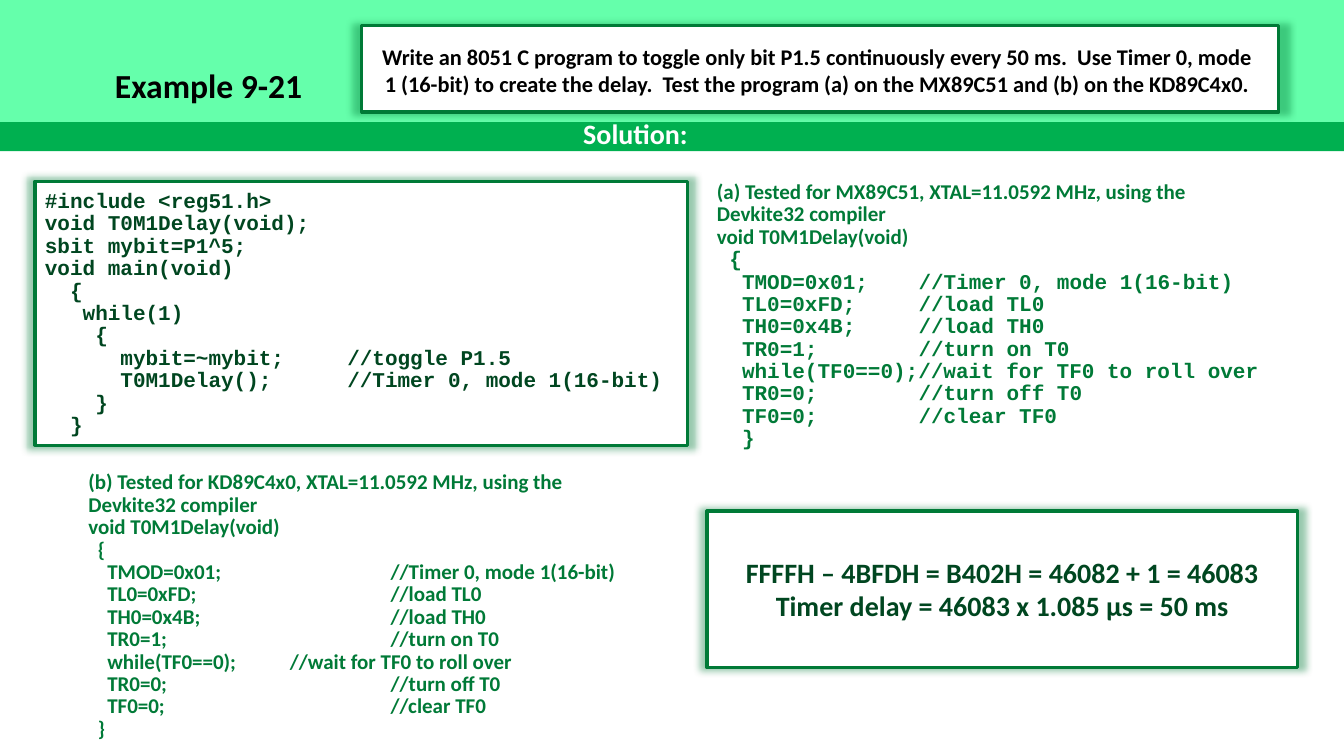
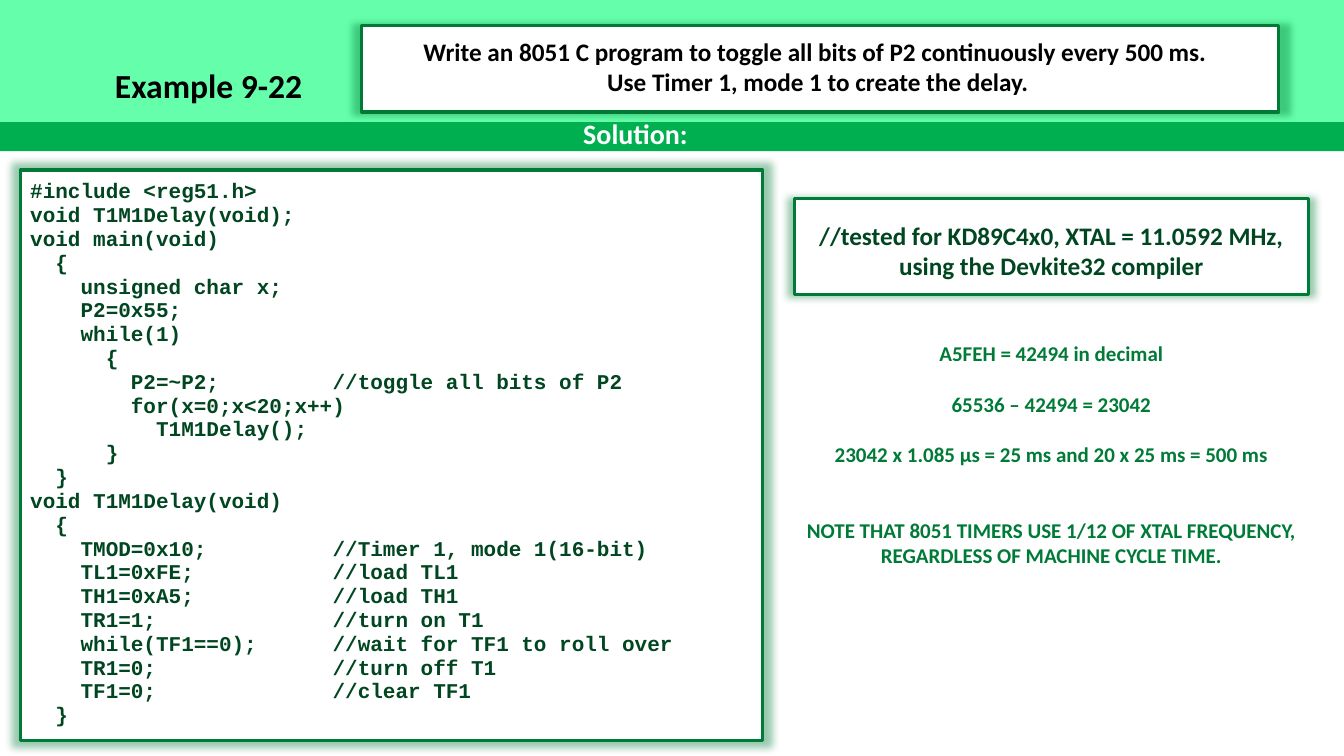
from dataclasses import dataclass
from lxml.etree import SubElement
from pptx import Presentation
from pptx.dml.color import RGBColor
from pptx.enum.shapes import MSO_SHAPE
from pptx.enum.text import MSO_AUTO_SIZE, PP_ALIGN
from pptx.oxml import parse_xml
from pptx.oxml.ns import qn
from pptx.util import Pt


@dataclass(frozen=True)
class Theme:
    sans: str = "Calibri"
    mono: str = "Courier New"
    black: str = "000000"
    white: str = "FFFFFF"
    mint: str = "65FFAB"
    band: str = "00B050"
    green: str = "007A37"
    dark: str = "004620"
    title: int = 24
    large: int = 20
    mid: int = 18
    ask: int = 16
    body: int = 15
    edge: float = 2.25


THEME = Theme()
WIDE, HIGH = 960, 540
HEAD = (258.5, 18, 655, 62)
TABS = (72, 144, 216)
SHADOW = (
    '<a:effectLst xmlns:a="http://schemas.openxmlformats.org/drawingml/2006/main">'
    '<a:outerShdw blurRad="63500" sx="102000" sy="102000" algn="ctr" rotWithShape="0">'
    f'<a:srgbClr val="{THEME.green}"><a:alpha val="40000"/></a:srgbClr>'
    "</a:outerShdw></a:effectLst>"
)

MAIN = """#include <reg51.h>
void T0M1Delay(void);
sbit mybit=P1^5;
void main(void)
  {
   while(1)
    {
      mybit=~mybit;\t//toggle P1.5
      T0M1Delay();\t//Timer 0, mode 1(16-bit)
    }
  }"""

INTRO = """(a) Tested for MX89C51, XTAL=11.0592 MHz, using the Devkite32 compiler
void T0M1Delay(void)"""

PART_A = """ {
  TMOD=0x01;\t//Timer 0, mode 1(16-bit)
  TL0=0xFD;\t//load TL0
  TH0=0x4B;\t//load TH0
  TR0=1;\t//turn on T0
  while(TF0==0);//wait for TF0 to roll over
  TR0=0;\t//turn off T0
  TF0=0;\t//clear TF0
  }"""

PART_B = """(b) Tested for KD89C4x0, XTAL=11.0592 MHz, using the Devkite32 compiler
void T0M1Delay(void)
  {
    TMOD=0x01;\t\t//Timer 0, mode 1(16-bit)
    TL0=0xFD;\t\t//load TL0
    TH0=0x4B;\t\t//load TH0
    TR0=1;\t\t\t//turn on T0
    while(TF0==0);\t//wait for TF0 to roll over
    TR0=0;\t\t\t//turn off T0
    TF0=0;\t\t\t//clear TF0
  }"""

SUMS = """FFFFH – 4BFDH = B402H = 46082 + 1 = 46083
Timer delay = 46083 x 1.085 µs = 50 ms"""

TOGGLE = """#include <reg51.h>
void T1M1Delay(void);
void main(void)
  {
    unsigned char x;
    P2=0x55;
    while(1)
      {
        P2=~P2;\t\t//toggle all bits of P2
        for(x=0;x<20;x++)
          T1M1Delay();
      }
  }
void T1M1Delay(void)
  {
    TMOD=0x10;\t\t//Timer 1, mode 1(16-bit)
    TL1=0xFE;\t\t//load TL1
    TH1=0xA5;\t\t//load TH1
    TR1=1;\t\t//turn on T1
    while(TF1==0);\t//wait for TF1 to roll over
    TR1=0;\t\t//turn off T1
    TF1=0;\t\t//clear TF1
  }"""

NOTES = """A5FEH = 42494 in decimal
65536 – 42494 = 23042
23042 x 1.085 µs = 25 ms and 20 x 25 ms = 500 ms
NOTE THAT 8051 TIMERS USE 1/12 OF XTAL FREQUENCY, REGARDLESS OF MACHINE CYCLE TIME."""

CODE = dict(face=THEME.mono, color=THEME.dark)
LIST = dict(color=THEME.green, lead=16)
MID = dict(center=True)

SLIDES = [
    dict(
        title="Example 9-21",
        ask="Write an 8051 C program to toggle only bit P1.5 continuously every 50 ms.  "
            "Use Timer 0, mode 1 (16-bit) to create the delay.  "
            "Test the program (a) on the MX89C51 and (b) on the KD89C4x0.",
        spot=(260.5, 27.5, 646.5, 46),
        size=THEME.ask,
        panels=[(505, 365, 422, 112), (25, 129.5, 466, 188.5)],
        texts=[
            ((25, 132.5, 458, 186), [(MAIN, dict(CODE, lead=16))]),
            ((505, 126, 409, 202), [(INTRO, LIST), (PART_A, dict(LIST, face=THEME.mono))]),
            ((56, 333.5, 409, 202), [(PART_B, LIST)]),
            ((505, 393, 422, 55.5),
             [(SUMS, dict(MID, size=THEME.large, color=THEME.dark))]),
        ],
    ),
    dict(
        title="Example 9-22",
        ask="Write an 8051 C program to toggle all bits of P2 continuously every 500 ms.  "
            "Use Timer 1, mode 1 to create the delay.",
        spot=(283, 22.5, 602.5, 51),
        size=THEME.mid,
        panels=[(14.5, 121.5, 530, 407.5), (567.5, 142, 367, 68.5)],
        texts=[
            ((14.5, 124.5, 530, 420), [(TOGGLE, dict(CODE, lead=17))]),
            ((567.5, 240, 367, 170.5),
             [(NOTES, dict(MID, color=THEME.green, gaps=(0, 18, 18, 36)))]),
            ((567.5, 153.5, 367, 51),
             [("//tested for KD89C4x0, XTAL = 11.0592 MHz, using the Devkite32 compiler",
               dict(MID, size=THEME.mid, color=THEME.dark))]),
        ],
    ),
]


def add_box(slide, at, fill, framed=False):
    box = slide.shapes.add_shape(MSO_SHAPE.RECTANGLE, *map(Pt, at))
    box.shadow.inherit = False
    box.fill.solid()
    box.fill.fore_color.rgb = RGBColor.from_string(fill)
    if framed:
        box.line.color.rgb = RGBColor.from_string(THEME.green)
        box.line.width = Pt(THEME.edge)
        props = box._element.spPr
        props.replace(props.find(qn("a:effectLst")), parse_xml(SHADOW))
    else:
        box.line.fill.background()


def set_para(para, line, face=THEME.sans, size=THEME.body, color=THEME.black,
             lead=None, center=False, gap=0):
    para.text = line
    if "\t" in line:
        tabs = SubElement(para._p.get_or_add_pPr(), qn("a:tabLst"))
        for stop in TABS:
            SubElement(tabs, qn("a:tab"), pos=str(Pt(stop)), algn="l")
    if lead:
        para.line_spacing = Pt(lead)
    if gap:
        para.space_before = Pt(gap)
    para.alignment = PP_ALIGN.CENTER if center else PP_ALIGN.LEFT
    font = para.font
    font.name, font.size, font.bold = face, Pt(size), True
    font.color.rgb = RGBColor.from_string(color)


def add_text(slide, at, parts):
    frame = slide.shapes.add_textbox(*map(Pt, at)).text_frame
    frame.word_wrap = True
    frame.auto_size = MSO_AUTO_SIZE.SHAPE_TO_FIT_TEXT
    fresh = True
    for text, style in parts:
        lines = text.split("\n")
        look = dict(style)
        gaps = look.pop("gaps", [0] * len(lines))
        for line, gap in zip(lines, gaps):
            para = frame.paragraphs[0] if fresh else frame.add_paragraph()
            set_para(para, line, gap=gap, **look)
            fresh = False


def add_head(slide, page):
    add_box(slide, (0, 0, WIDE, 108), THEME.band)
    add_box(slide, (0, 0, WIDE, 87), THEME.mint)
    add_text(slide, (75, 43, 811, 36), [(page["title"], dict(size=THEME.title))])
    add_text(slide, (0, 84, 908, 29),
             [("Solution:", dict(MID, size=THEME.large, color=THEME.white, lead=20))])
    add_box(slide, HEAD, THEME.white, framed=True)
    add_text(slide, page["spot"], [(page["ask"], dict(MID, size=page["size"]))])


def main():
    deck = Presentation()
    deck.slide_width, deck.slide_height = Pt(WIDE), Pt(HIGH)
    for page in SLIDES:
        slide = deck.slides.add_slide(deck.slide_layouts[6])
        for at in page["panels"]:
            add_box(slide, at, THEME.white, framed=True)
        add_head(slide, page)
        for at, parts in page["texts"]:
            add_text(slide, at, parts)
    deck.save("out.pptx")


if __name__ == "__main__":
    main()
